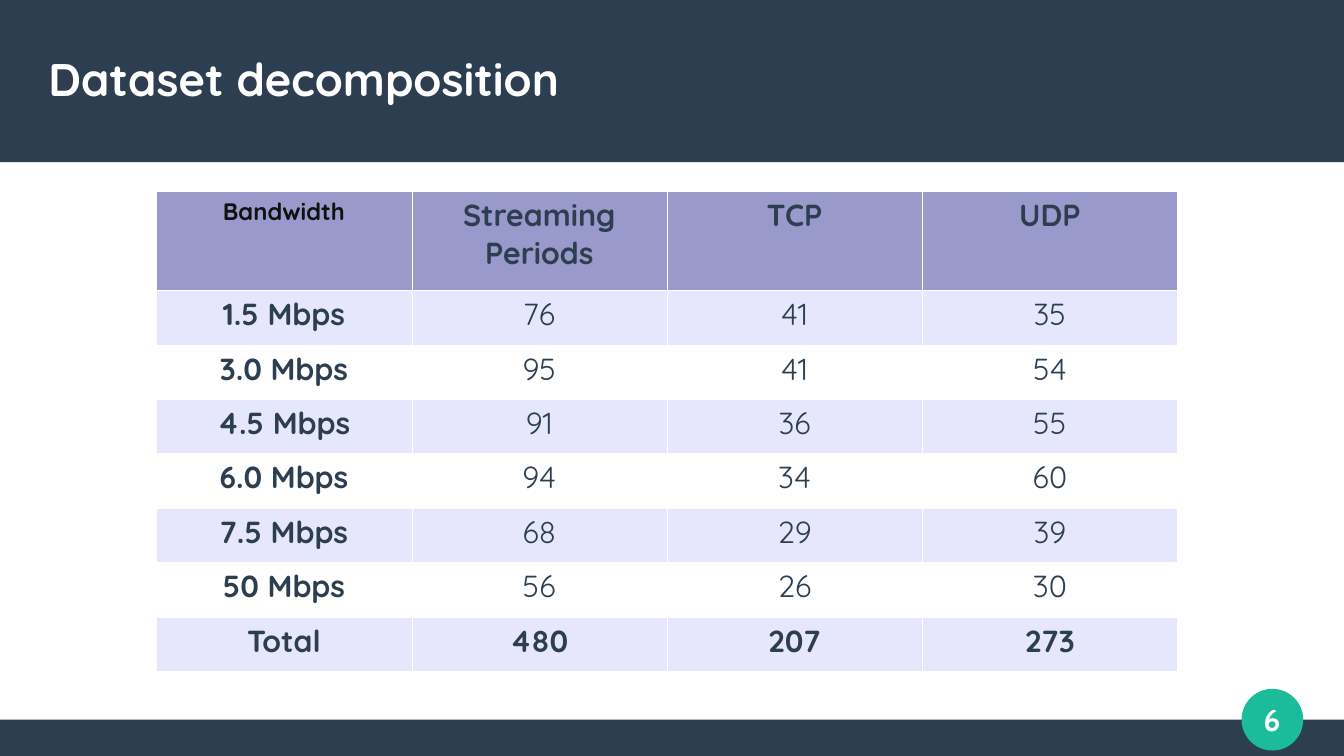
"""Build the dataset decomposition slide with its bandwidth table."""
from lxml import etree
from pptx import Presentation
from pptx.dml.color import RGBColor
from pptx.enum.shapes import MSO_SHAPE
from pptx.enum.text import MSO_ANCHOR, PP_ALIGN
from pptx.oxml.ns import qn
from pptx.util import Inches, Pt

RECTANGLE, OVAL = MSO_SHAPE.RECTANGLE, MSO_SHAPE.OVAL
MIDDLE = MSO_ANCHOR.MIDDLE
LEFT, CENTER = PP_ALIGN.LEFT, PP_ALIGN.CENTER

COLORS = {
    "navy": "2C3E50",
    "green": "1ABC9C",
    "white": "FFFFFF",
    "black": "111111",
    "header": "9999CC",
    "band": "E6E6FF",
}
TITLE = "Dataset decomposition"
PAGE_NUMBER = "6"
ROWS = [
    ("Bandwidth", "Streaming Periods", "TCP", "UDP"),
    ("1.5 Mbps", "76", "41", "35"),
    ("3.0 Mbps", "95", "41", "54"),
    ("4.5 Mbps", "91", "36", "55"),
    ("6.0 Mbps", "94", "34", "60"),
    ("7.5 Mbps", "68", "29", "39"),
    ("50 Mbps", "56", "26", "30"),
    ("Total", "480", "207", "273"),
]
SHAPES = [
    (RECTANGLE, (0, 7.14, 13.33, 0.36), "navy"),
    (RECTANGLE, (0, 0, 13.33, 1.61), "navy"),
    (OVAL, (12.32, 6.84, 0.6, 0.6), "green"),
]
TABLE_LEFT, TABLE_TOP, TABLE_WIDTH = 1.55, 1.9, 10.13
HEADER_HEIGHT, ROW_HEIGHT = 0.98, 0.54
BORDER_POINTS = 0.06


def rgb(name):
    return RGBColor.from_string(COLORS[name])


def write(frame, text, size=21.7, color="navy", font="Quicksand", bold=True, align=CENTER):
    para = frame.paragraphs[0]
    para.alignment = align
    span = para.add_run()
    span.text = text
    span.font.size = Pt(size)
    span.font.name = font
    span.font.bold = bold
    span.font.color.rgb = rgb(color)


def add_text(page, place, text, **style):
    box = page.shapes.add_textbox(*map(Inches, place))
    frame = box.text_frame
    frame.word_wrap = True
    frame.vertical_anchor = MIDDLE
    frame.margin_left = frame.margin_right = frame.margin_top = frame.margin_bottom = 0
    write(frame, text, **style)


def add_shape(page, kind, place, color):
    shape = page.shapes.add_shape(kind, *map(Inches, place))
    shape.shadow.inherit = False
    shape.fill.solid()
    shape.fill.fore_color.rgb = rgb(color)
    if kind == OVAL:
        shape.line.color.rgb = rgb(color)
        shape.line.width = Pt(0.85)
    else:
        shape.line.fill.background()


def style_cell(cell, color):
    properties = cell._tc.get_or_add_tcPr()
    for side in ("a:lnL", "a:lnR", "a:lnT", "a:lnB"):
        line = etree.SubElement(properties, qn(side), w=str(Pt(BORDER_POINTS)))
        fill = etree.SubElement(line, qn("a:solidFill"))
        etree.SubElement(fill, qn("a:srgbClr"), val=COLORS["white"])
    cell.fill.solid()
    cell.fill.fore_color.rgb = rgb(color)


def add_bandwidth_table(page):
    last = len(ROWS) - 1
    height = HEADER_HEIGHT + ROW_HEIGHT * last
    place = map(Inches, (TABLE_LEFT, TABLE_TOP, TABLE_WIDTH, height))
    table = page.shapes.add_table(len(ROWS), len(ROWS[0]), *place).table
    for row, values in enumerate(ROWS):
        table.rows[row].height = Inches(ROW_HEIGHT if row else HEADER_HEIGHT)
        fill = "header" if row == 0 else "band" if row % 2 else "white"
        for column, value in enumerate(values):
            cell = table.cell(row, column)
            style_cell(cell, fill)
            corner = row == 0 and column == 0
            write(cell.text_frame, value, size=17 if corner else 21.7,
                  color="black" if corner else "navy",
                  bold=row in (0, last) or column == 0)


def main():
    deck = Presentation()
    deck.slide_width, deck.slide_height = Inches(13.33), Inches(7.5)
    page = deck.slides.add_slide(deck.slide_layouts[6])
    for kind, place, color in SHAPES:
        add_shape(page, kind, place, color)
    add_text(page, (12.14, 6.78, 0.95, 0.71), PAGE_NUMBER, color="white", font="Cabin")
    add_text(page, (0.48, 0.3, 12.38, 0.95), TITLE, size=32.6, color="white", align=LEFT)
    add_bandwidth_table(page)
    deck.save("out.pptx")


if __name__ == "__main__":
    main()
